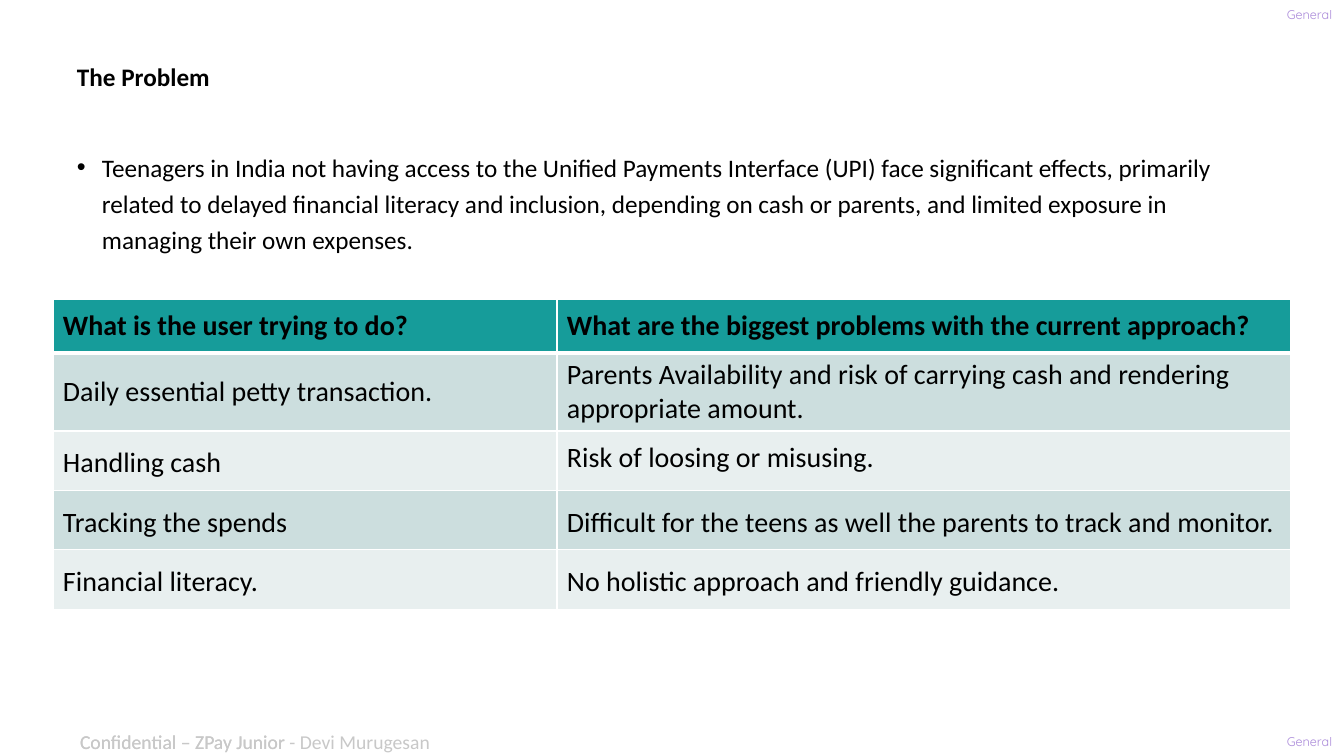
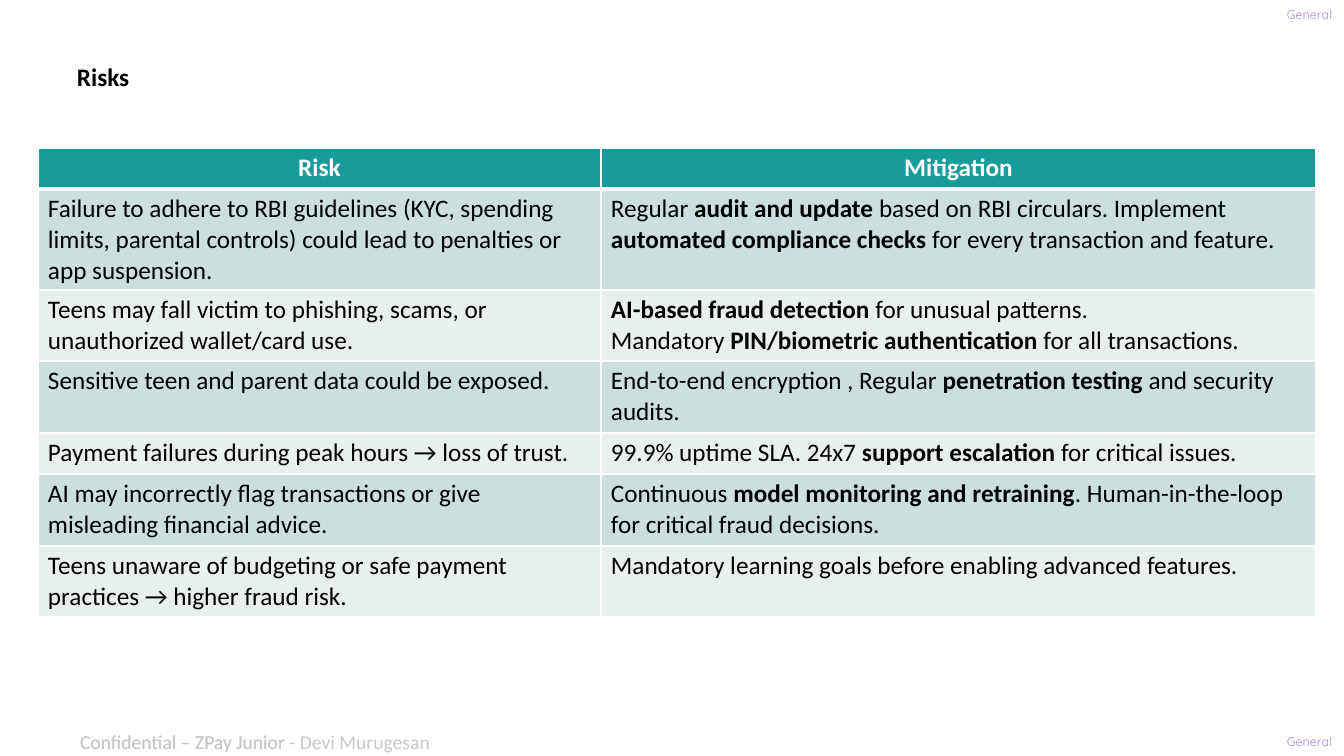
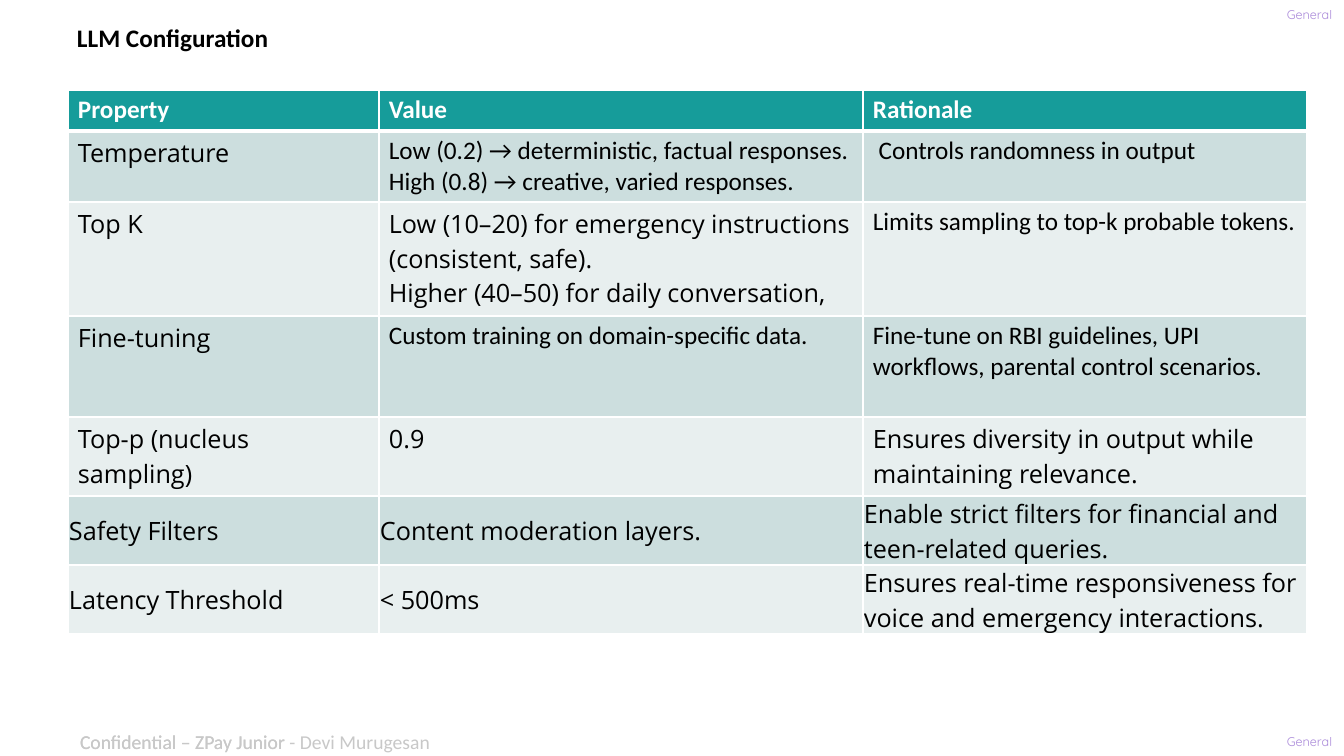
from dataclasses import dataclass

from lxml.etree import SubElement
from pptx import Presentation
from pptx.dml.color import RGBColor
from pptx.enum.text import MSO_ANCHOR, PP_ALIGN
from pptx.oxml.ns import qn
from pptx.util import Emu, Pt

SLIDE_WIDTH, SLIDE_HEIGHT = 1344, 756
EMU_PER_PX = 914400 / 100.8

BLACK, WHITE = "000000", "FFFFFF"
TEAL = "169C9A"
BANDS = ("CCDEDE", "E8EFEF")
FOOTER_GREY = "C8C8C8"
LABEL_PURPLE = "5514B4"
BODY_FONT, SANS_FONT, LABEL_FONT = "Calibri", "Open Sans", "Quicksand"

DEFAULT_MARGINS = (10, 5, 10, 5)
EVEN_MARGINS = (10, 10, 10, 10)
TIGHT_MARGINS = (1, 1, 1, 0)

FOOTER_PROJECT = "Confidential – ZPay Junior"
FOOTER_LINES = (
    (FOOTER_PROJECT, 560),
    (FOOTER_PROJECT + " - Devi Murugesan", 700),
)


@dataclass
class Cell:
    text: str
    font: str = BODY_FONT
    line_spacing: float = 1.0


@dataclass
class Row:
    height: int
    cells: tuple
    margins: tuple = DEFAULT_MARGINS
    anchor: MSO_ANCHOR = MSO_ANCHOR.TOP


def px(length):
    return Emu(round(length * EMU_PER_PX))


def color(hex_string):
    return RGBColor.from_string(hex_string)


def sans(text):
    return Cell(text, font=SANS_FONT)


def loose(text):
    return Cell(text, line_spacing=1.15)


def write(paragraph, text, size, ink=BLACK, font=BODY_FONT, bold=False):
    """Add text run by run; ** switches bold on and off."""
    for index, part in enumerate(text.split("**")):
        if not part:
            continue
        run = paragraph.add_run()
        run.text = part
        run.font.name = font
        run.font.size = Pt(size)
        run.font.bold = bold or index % 2 == 1
        run.font.color.rgb = color(ink)


def set_margins(holder, margins):
    """Set left, top, right and bottom margins of a text frame or cell."""
    for side, margin in zip(("left", "top", "right", "bottom"), margins):
        setattr(holder, f"margin_{side}", px(margin))


def add_text_frame(slide, left, top, width, height, margins=DEFAULT_MARGINS):
    box = slide.shapes.add_textbox(px(left), px(top), px(width), px(height))
    frame = box.text_frame
    frame.word_wrap = True
    set_margins(frame, margins)
    return frame


def add_label(slide, top):
    frame = add_text_frame(slide, 1287, top, 53, 15, (0, 0, 0, 0))
    paragraph = frame.paragraphs[0]
    write(paragraph, "General", 9, LABEL_PURPLE, LABEL_FONT)
    for ink in paragraph._p.iter(qn("a:srgbClr")):
        SubElement(ink, qn("a:alpha"), val="50000")


def add_title(slide, text, top):
    paragraph = add_text_frame(slide, 67, top, 1174, 40).paragraphs[0]
    paragraph.line_spacing = 0.9
    write(paragraph, text, 18, bold=True)


def add_bullet(slide, text):
    paragraph = add_text_frame(slide, 67, 141, 1174, 130).paragraphs[0]
    paragraph.line_spacing = 1.2
    paragraph.space_before = Pt(10)
    properties = paragraph._p.get_or_add_pPr()
    properties.set("marL", str(px(25)))
    properties.set("indent", str(-px(25)))
    SubElement(properties, qn("a:buFont"), typeface="Arial")
    SubElement(properties, qn("a:buChar"), char="•")
    write(paragraph, text, 18)


def add_footer(slide):
    for text, width in FOOTER_LINES:
        frame = add_text_frame(slide, 70, 700, width, 56, (10, 36, 10, 0))
        write(frame.paragraphs[0], text, 14, FOOTER_GREY)


def set_borders(cell, row_index):
    """Draw white borders, thick between the header and the body."""
    properties = cell._tc.get_or_add_tcPr()
    thick_side = {0: "lnB", 1: "lnT"}.get(row_index)
    for side in ("lnL", "lnR", "lnT", "lnB"):
        width = Pt(3 if side == thick_side else 1)
        line = SubElement(properties, qn(f"a:{side}"), w=str(width))
        SubElement(SubElement(line, qn("a:solidFill")), qn("a:srgbClr"), val=WHITE)


def fill_cell(cell, content, row, row_index, size, ink, align):
    if isinstance(content, str):
        content = Cell(content)
    set_borders(cell, row_index)
    cell.fill.solid()
    is_header = row_index == 0
    cell.fill.fore_color.rgb = color(TEAL if is_header else BANDS[(row_index - 1) % 2])
    cell.vertical_anchor = row.anchor
    set_margins(cell, row.margins)
    frame = cell.text_frame
    for index, line in enumerate(content.text.split("\n")):
        paragraph = frame.add_paragraph() if index else frame.paragraphs[0]
        paragraph.alignment = align
        paragraph.line_spacing = content.line_spacing
        write(paragraph, line, size, ink, content.font, is_header)


def add_grid(slide, left, top, widths, rows, size=18,
             header_ink=WHITE, header_align=PP_ALIGN.LEFT):
    height = sum(row.height for row in rows)
    table = slide.shapes.add_table(
        len(rows), len(widths), px(left), px(top), px(sum(widths)), px(height)
    ).table
    for column, width in zip(table.columns, widths):
        column.width = px(width)
    for row_index, row in enumerate(rows):
        table.rows[row_index].height = px(row.height)
        ink, align = (BLACK, PP_ALIGN.LEFT) if row_index else (header_ink, header_align)
        for column_index, content in enumerate(row.cells):
            fill_cell(table.cell(row_index, column_index), content,
                      row, row_index, size, ink, align)


def add_page(deck, title, title_top=60):
    """Add a slide with the shared labels, title and footer."""
    slide = deck.slides.add_slide(deck.slide_layouts[6])
    for top in (7, 734):
        add_label(slide, top)
    add_title(slide, title, title_top)
    add_footer(slide)
    return slide


def build_problem(deck):
    slide = add_page(deck, "The Problem")
    add_bullet(slide, (
        "Teenagers in India not having access to the Unified Payments Interface (UPI) "
        "face significant effects, primarily related to delayed financial literacy and "
        "inclusion, depending on cash or parents, and limited exposure in managing "
        "their own expenses."
    ))
    add_grid(slide, 53, 299, (504, 734), (
        Row(54, ("What is the user trying to do?",
                 "What are the biggest problems with the current approach?"), EVEN_MARGINS),
        Row(78, ("Daily essential petty transaction.",
                 "Parents Availability and risk of carrying cash and rendering "
                 "appropriate amount."), anchor=MSO_ANCHOR.MIDDLE),
        Row(60, (loose("Handling cash"), "Risk of loosing or misusing."), EVEN_MARGINS),
        Row(59, (loose("Tracking the spends"),
                 loose("Difficult for the teens as well the parents to track and monitor.")),
            EVEN_MARGINS),
        Row(60, (loose("Financial literacy."),
                 loose("No holistic approach and friendly guidance.")), EVEN_MARGINS),
    ), size=20, header_ink=BLACK)


def build_risks(deck):
    slide = add_page(deck, "Risks")
    add_grid(slide, 38, 148, (563, 715), (
        Row(41, ("Risk", "Mitigation")),
        Row(101, ("Failure to adhere to RBI guidelines (KYC, spending limits, parental "
                  "controls) could lead to penalties or app suspension.",
                  "Regular **audit and update** based on RBI circulars. Implement "
                  "**automated compliance checks** for every transaction and feature.")),
        Row(71, ("Teens may fall victim to phishing, scams, or unauthorized "
                 "wallet/card use.",
                 "**AI-based fraud detection** for unusual patterns.\n"
                 "Mandatory **PIN/biometric authentication** for all transactions.")),
        Row(72, ("Sensitive teen and parent data could be exposed.",
                 "End-to-end encryption , Regular **penetration testing** and "
                 "security audits.")),
        Row(41, ("Payment failures during peak hours → loss of trust.",
                 "99.9% uptime SLA. 24x7 **support escalation** for critical issues.")),
        Row(72, ("AI may incorrectly flag transactions or give misleading financial advice.",
                 "Continuous **model monitoring and retraining**. Human-in-the-loop "
                 "for critical fraud decisions.")),
        Row(71, ("Teens unaware of budgeting or safe payment practices → higher fraud risk.",
                 "Mandatory learning goals before enabling advanced features.")),
    ), header_align=PP_ALIGN.CENTER)


def build_configuration(deck):
    slide = add_page(deck, "LLM Configuration", title_top=21)
    add_grid(slide, 68, 90, (311, 484, 444), (
        Row(41, ("Property", "Value", "Rationale")),
        Row(71, (sans("Temperature"),
                 "Low (0.2) → deterministic, factual responses.\n"
                 "High (0.8) → creative, varied responses.",
                 " Controls randomness in output")),
        Row(114, (sans("Top K"),
                  sans("Low (10–20) for emergency instructions (consistent, safe).\n"
                       "Higher (40–50) for daily conversation,"),
                  "Limits sampling to top-k probable tokens.")),
        Row(101, (sans("Fine-tuning"), "Custom training on domain-specific data.",
                  "Fine-tune on RBI guidelines, UPI workflows, parental control scenarios.")),
        Row(79, (sans("Top-p (nucleus sampling)"), sans("0.9"),
                 sans("Ensures diversity in output while maintaining relevance."))),
        Row(69, (sans("Safety Filters"), sans("Content moderation layers."),
                 sans("Enable strict filters for financial and teen-related queries.")),
            TIGHT_MARGINS, MSO_ANCHOR.MIDDLE),
        Row(69, (sans("Latency Threshold"), sans("< 500ms"),
                 sans("Ensures real-time responsiveness for voice and emergency "
                      "interactions.")),
            TIGHT_MARGINS, MSO_ANCHOR.MIDDLE),
    ))


def main():
    deck = Presentation()
    deck.slide_width, deck.slide_height = px(SLIDE_WIDTH), px(SLIDE_HEIGHT)
    build_problem(deck)
    build_risks(deck)
    build_configuration(deck)
    deck.save("out.pptx")


if __name__ == "__main__":
    main()
